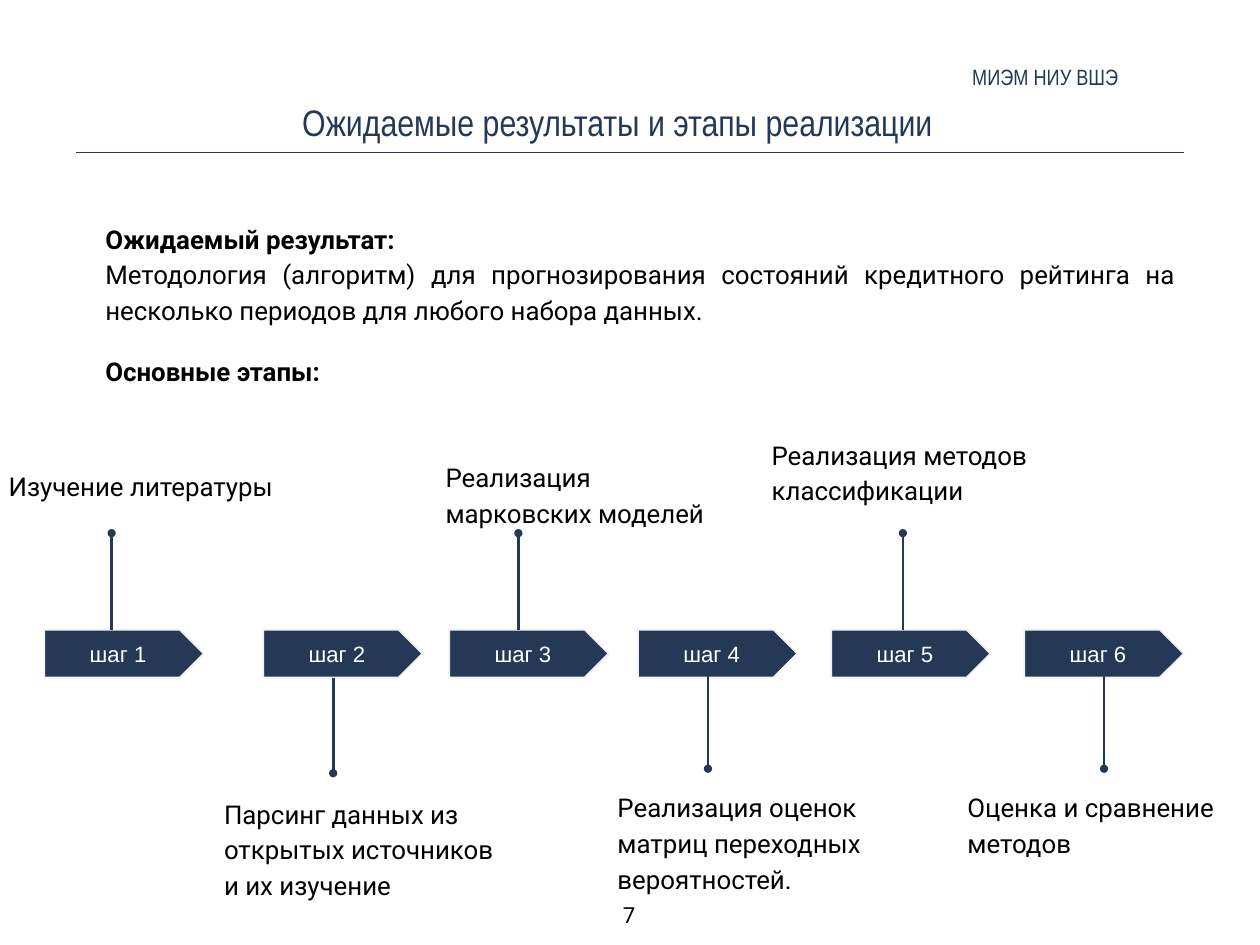
from lxml.etree import SubElement
from pptx import Presentation
from pptx.dml.color import RGBColor
from pptx.enum.shapes import MSO_CONNECTOR, MSO_SHAPE
from pptx.enum.text import MSO_ANCHOR, MSO_AUTO_SIZE, PP_ALIGN
from pptx.oxml.ns import qn
from pptx.util import Inches, Pt

NAVY = RGBColor(0x25, 0x39, 0x57)
BLACK = RGBColor(0x00, 0x00, 0x00)
WHITE = RGBColor(0xFF, 0xFF, 0xFF)
PALE = RGBColor(0xF2, 0xF2, 0xF2)

STEP_TOP, STEP_WIDTH, STEP_HEIGHT = 7.11, 1.8, 0.54
STEP_LEFTS = [0.5, 2.97, 5.07, 7.2, 9.38, 11.56]
STEMS = [
    (1.26, STEP_TOP, 6.02),
    (3.76, 7.65, 8.73),
    (5.85, STEP_TOP, 6.02),
    (7.99, 7.59, 8.68),
    (10.19, STEP_TOP, 6.02),
    (12.46, 7.59, 8.68),
]
STAGES = [
    ("Изучение литературы", (0, 5.16, 3.94, 0.61)),
    ("Парсинг данных из открытых источников и их изучение", (2.43, 8.86, 3.28, 1.42)),
    ("Реализация марковских моделей", (4.93, 5.06, 3.28, 1.01)),
    ("Реализация оценок матриц переходных вероятностей.", (6.87, 8.79, 3.28, 1.42)),
    ("Реализация методов классификации", (8.61, 4.81, 4.61, 1.01)),
    ("Оценка и сравнение методов", (10.82, 8.79, 3.28, 0.96)),
]


class RoadmapSlide:
    """Draws the elements of one slide in a shared style."""

    def __init__(self, slide):
        self.shapes = slide.shapes

    def set_text(self, frame, text, font, size, color, align, inset,
                 anchor=MSO_ANCHOR.TOP, spacing=None):
        frame.word_wrap = True
        frame.vertical_anchor = anchor
        frame.margin_left = frame.margin_right = Inches(inset)
        frame.margin_top = frame.margin_bottom = Inches(inset)
        frame.text = text
        for paragraph in frame.paragraphs:
            paragraph.alignment = align
            if spacing:
                paragraph.line_spacing = spacing
            for run in paragraph.runs:
                run.font.name = font
                run.font.size = Pt(size)
                run.font.color.rgb = color

    def text_box(self, box):
        return self.shapes.add_textbox(*map(Inches, box)).text_frame

    def heading(self, text, box, size, align, anchor=MSO_ANCHOR.TOP):
        self.set_text(self.text_box(box), text, "Arial Narrow", size, NAVY, align, 0.06, anchor)

    def page_number(self, text, box):
        self.set_text(self.text_box(box), text, "Roboto", 18, BLACK, PP_ALIGN.CENTER, 0.06)

    def section(self, text, box):
        frame = self.text_box(box)
        self.set_text(frame, text, "Roboto", 21, BLACK, PP_ALIGN.JUSTIFY, 0.1, spacing=1.15)
        for paragraph in frame.paragraphs:
            properties = paragraph._p.get_or_add_pPr()
            properties.set("marL", str(Inches(0.5)))
            properties.set("indent", "0")
        frame.paragraphs[0].runs[0].font.bold = True

    def stage_label(self, text, box):
        frame = self.text_box(box)
        self.set_text(frame, text, "Roboto", 21, BLACK, PP_ALIGN.LEFT, 0.1, spacing=1.15)
        frame.auto_size = MSO_AUTO_SIZE.SHAPE_TO_FIT_TEXT

    def step(self, text, left):
        box = (left, STEP_TOP, STEP_WIDTH, STEP_HEIGHT)
        plate = self.shapes.add_shape(MSO_SHAPE.PENTAGON, *map(Inches, box))
        plate.shadow.inherit = False
        plate.fill.solid()
        plate.fill.fore_color.rgb = NAVY
        plate.line.color.rgb = PALE
        plate.line.width = Pt(1.5)
        self.set_text(plate.text_frame, text, "Arial", 18, WHITE, PP_ALIGN.CENTER, 0.1,
                      MSO_ANCHOR.MIDDLE)

    def rule(self, start, end, width):
        connector = self.shapes.add_connector(
            MSO_CONNECTOR.STRAIGHT, *map(Inches, (*start, *end)))
        connector.line.color.rgb = NAVY
        connector.line.width = Pt(width)
        SubElement(connector._element.spPr, qn("a:effectLst"))
        return connector

    def stem(self, x, start, end):
        connector = self.rule((x, start), (x, end), 2.25)
        SubElement(connector.line._get_or_add_ln(), qn("a:tailEnd"), type="oval")


def main():
    deck = Presentation()
    deck.slide_width, deck.slide_height = Inches(14.22), Inches(10.67)
    roadmap = RoadmapSlide(deck.slides.add_slide(deck.slide_layouts[6]))

    roadmap.rule((0.86, 1.72), (13.36, 1.72), 1)
    roadmap.heading("Ожидаемые результаты и этапы реализации",
                    (0.72, 1.07, 12.5, 0.75), 30, PP_ALIGN.CENTER)
    roadmap.heading("МИЭМ НИУ ВШЭ", (3.12, 0.66, 9.56, 0.42), 18, PP_ALIGN.RIGHT,
                    MSO_ANCHOR.MIDDLE)
    roadmap.section(
        "Ожидаемый результат:\n"
        "Методология (алгоритм) для прогнозирования состояний кредитного рейтинга "
        "на несколько периодов для любого набора данных.",
        (0.59, 2.37, 12.77, 1.49))
    roadmap.section("Основные этапы:", (0.59, 3.86, 12.77, 0.54))
    roadmap.page_number("7", (6.9, 10.12, 0.4, 0.42))

    for number, left in enumerate(STEP_LEFTS, start=1):
        roadmap.step(f"шаг {number}", left)
    for stem in STEMS:
        roadmap.stem(*stem)
    for label, box in STAGES:
        roadmap.stage_label(label, box)

    deck.save("out.pptx")


if __name__ == "__main__":
    main()
